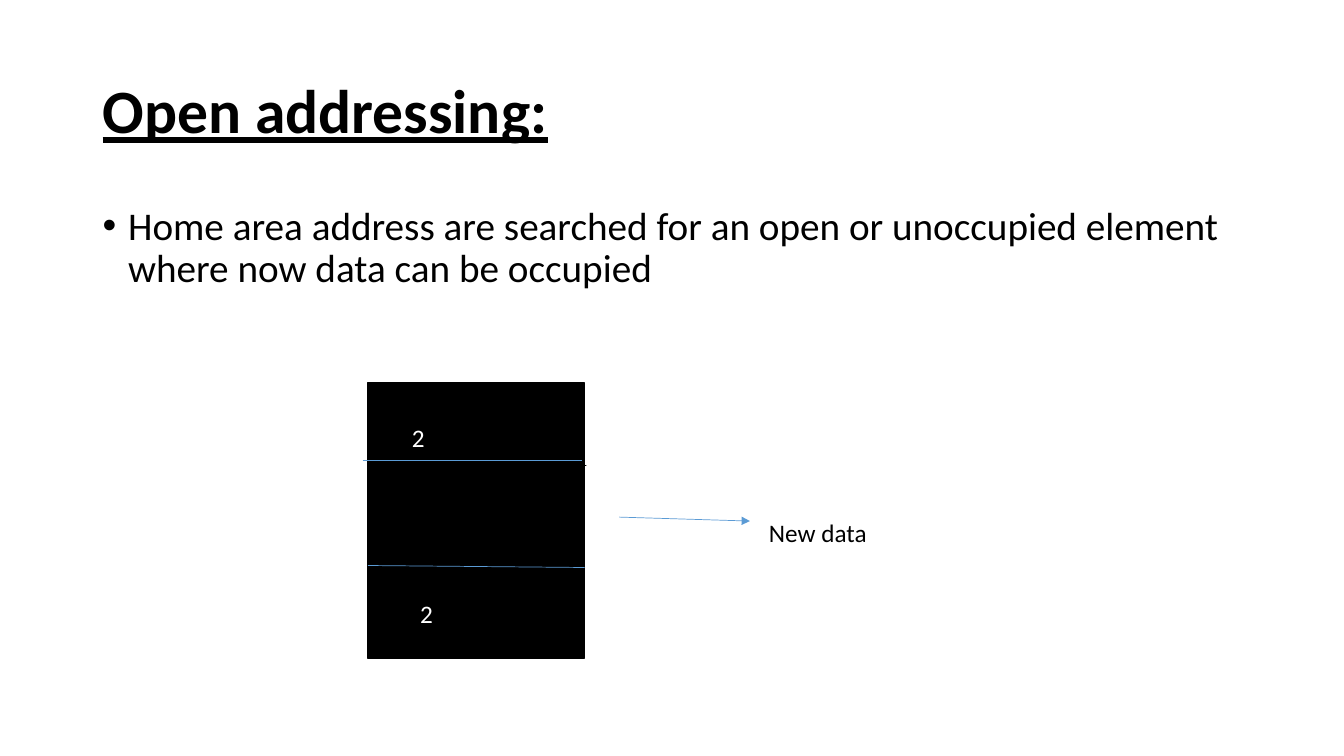
import pptx
import pptx.dml.color
import pptx.enum.shapes
import pptx.enum.text
import pptx.oxml
import pptx.oxml.ns
import pptx.util
from pptx.util import Cm

COLOURS = {"black": "000000", "white": "FFFFFF", "blue": "5B9BD5"}
FONT = "Calibri"

# Places are in centimetres: left, top, width, height
TITLE = ("Open addressing:", (2.34, 1.02, 29.21, 3.68))
BODY = ("Home area address are searched for an open or unoccupied element "
        "where now data can be occupied", (2.34, 5.08, 29.21, 12.09))
MEMORY_BLOCK = (9.27, 9.65, 5.46, 6.93)
LABELS = [
    ("New data", (19.13, 12.9, 6.07, 1.02), "black"),
    ("2", (10.13, 10.52, 2.69, 1.02), "white"),
    ("2", (10.34, 14.94, 2.69, 1.02), "white"),
]
# Start x, start y, end x, end y, colour, arrowhead at the end
LINES = [
    ((9.27, 11.89, 14.78, 11.73), "black", False),
    ((9.27, 14.25, 14.73, 14.3), "blue", False),
    ((9.14, 11.61, 14.66, 11.61), "blue", False),
    ((15.6, 13.03, 18.9, 13.13), "blue", True),
]


def rgb(colour):
    return pptx.dml.color.RGBColor.from_string(COLOURS[colour])


def lengths(place):
    return [Cm(value) for value in place]


def add_text(page, text, place, colour, size, line_spacing=1.0, bullet=False,
             anchor=pptx.enum.text.MSO_ANCHOR.TOP, **font_format):
    box = page.shapes.add_textbox(*lengths(place))
    frame = box.text_frame
    frame.word_wrap = True
    frame.vertical_anchor = anchor
    para = frame.paragraphs[0]
    para.line_spacing = line_spacing
    if bullet:
        add_bullet(para)
    span = para.add_run()
    span.text = text
    span.font.color.rgb = rgb(colour)
    font_format.update(name=FONT, size=pptx.util.Pt(size))
    for name, value in font_format.items():
        setattr(span.font, name, value)


def add_bullet(para):
    properties = para._p.get_or_add_pPr()
    properties.set("marL", str(Cm(0.64)))
    properties.set("indent", str(-Cm(0.64)))
    for tag, name, value in [("a:buFont", "typeface", "Arial"), ("a:buChar", "char", "•")]:
        element = pptx.oxml.ns.qn(tag)
        properties.append(properties.makeelement(element, {name: value}))


def add_line(page, ends, colour, arrow):
    line = page.shapes.add_connector(
        pptx.enum.shapes.MSO_CONNECTOR.STRAIGHT, *lengths(ends))
    line.line.color.rgb = rgb(colour)
    line.line.width = pptx.util.Pt(0.5)
    if arrow:
        outline = line.line._get_or_add_ln()
        outline.append(outline.makeelement(
            pptx.oxml.ns.qn("a:tailEnd"), {"type": "triangle"}))
    properties = line._element.spPr
    properties.append(properties.makeelement(pptx.oxml.ns.qn("a:effectLst"), {}))


def add_memory_block(page):
    block = page.shapes.add_shape(
        pptx.enum.shapes.MSO_SHAPE.RECTANGLE, *lengths(MEMORY_BLOCK))
    block.shadow.inherit = False
    block.fill.solid()
    block.fill.fore_color.rgb = rgb("black")
    block.line.color.rgb = rgb("black")
    block.line.width = pptx.util.Pt(1)


def main():
    deck = pptx.Presentation()
    deck.slide_width, deck.slide_height = Cm(33.87), Cm(19.05)
    page = deck.slides.add_slide(deck.slide_layouts[6])
    add_text(page, *TITLE, "black", 44, line_spacing=0.9,
             anchor=pptx.enum.text.MSO_ANCHOR.MIDDLE, bold=True, underline=True)
    add_text(page, *BODY, "black", 28, line_spacing=0.9, bullet=True)
    add_memory_block(page)
    for line in LINES:
        add_line(page, *line)
    for label in LABELS:
        add_text(page, *label, 18)
    deck.save("out.pptx")


if __name__ == "__main__":
    main()
